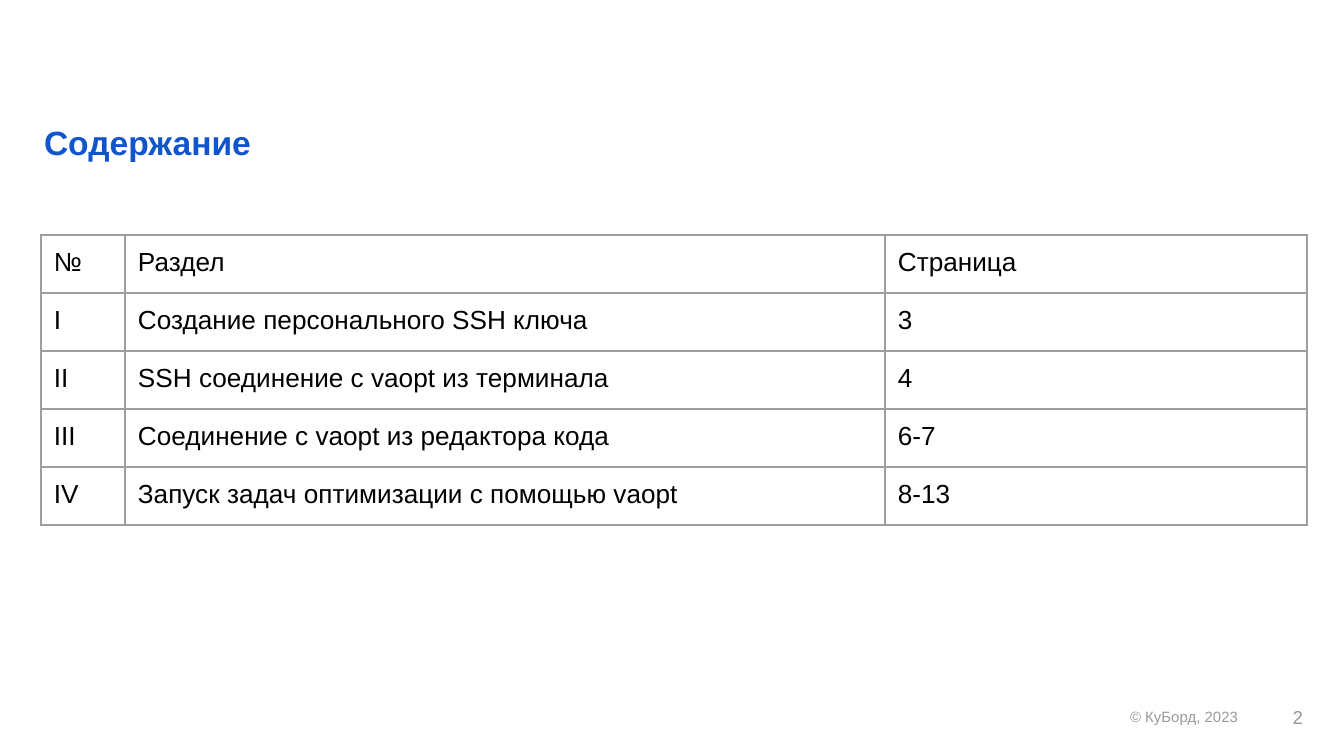
from lxml import etree
from pptx import Presentation
from pptx.dml.color import RGBColor
from pptx.enum.text import MSO_ANCHOR, MSO_AUTO_SIZE, PP_ALIGN
from pptx.oxml.ns import qn
from pptx.util import Pt

TOP, MIDDLE = MSO_ANCHOR.TOP, MSO_ANCHOR.MIDDLE
LEFT, RIGHT = PP_ALIGN.LEFT, PP_ALIGN.RIGHT
NO_FIT = MSO_AUTO_SIZE.NONE

COLORS = {"title": "1155CC", "text": "000000", "muted": "999999", "border": "9E9E9E"}
FONT = "Arial"
PX = 914400 / 134.4
INSET = 13
TITLE_ONLY = 5

ROW_H = 58
COLUMNS = [84, 760, 422]
CONTENTS = [
    ("№", "Раздел", "Страница"),
    ("I", "Создание персонального SSH ключа", "3"),
    ("II", "SSH соединение с vaopt из терминала", "4"),
    ("III", "Соединение с vaopt из редактора кода", "6-7"),
    ("IV", "Запуск задач оптимизации с помощью vaopt", "8-13"),
]


def emu(px):
    return round(px * PX)


class Deck:
    def __init__(self, width, height):
        self.prs = Presentation()
        self.prs.slide_width, self.prs.slide_height = emu(width), emu(height)
        self.slide = self.prs.slides.add_slide(self.prs.slide_layouts[TITLE_ONLY])

    def set_text(self, tf, text, size, color, bold=False, align=LEFT):
        tf.text = text
        p = tf.paragraphs[0]
        p.alignment = align
        font = p.runs[0].font
        font.name, font.size, font.bold = FONT, Pt(size), bold
        font.color.rgb = RGBColor.from_string(COLORS[color])

    def fill_frame(self, sp, text, size, color, bold=False, align=LEFT, anchor=TOP):
        tf = sp.text_frame
        tf.word_wrap = True
        tf.auto_size = NO_FIT
        tf.vertical_anchor = anchor
        tf.margin_left = tf.margin_right = tf.margin_top = tf.margin_bottom = emu(INSET)
        self.set_text(tf, text, size, color, bold, align)

    def title(self, x, y, w, h, text, size):
        sp = self.slide.shapes.title
        sp.left, sp.top, sp.width, sp.height = map(emu, (x, y, w, h))
        self.fill_frame(sp, text, size, "title", bold=True)

    def text(self, x, y, w, h, text, size, color, align=LEFT, anchor=TOP):
        sp = self.slide.shapes.add_textbox(*map(emu, (x, y, w, h)))
        self.fill_frame(sp, text, size, color, align=align, anchor=anchor)

    def border(self, cell, color, width):
        tc_pr = cell._tc.get_or_add_tcPr()
        for side in ("lnL", "lnR", "lnT", "lnB"):
            ln = etree.SubElement(tc_pr, qn(f"a:{side}"), w=str(Pt(width)))
            fill = etree.SubElement(ln, qn("a:solidFill"))
            etree.SubElement(fill, qn("a:srgbClr"), val=COLORS[color])

    def table(self, x, y, columns, row_h, rows, size):
        box = map(emu, (x, y, sum(columns), row_h * len(rows)))
        table = self.slide.shapes.add_table(len(rows), len(columns), *box).table
        table.first_row = table.horz_banding = False
        for column, width in zip(table.columns, columns):
            column.width = emu(width)
        for row, values in zip(table.rows, rows):
            row.height = emu(row_h)
            for cell, value in zip(row.cells, values):
                cell.margin_left = cell.margin_right = emu(INSET)
                cell.margin_top = cell.margin_bottom = emu(INSET)
                self.border(cell, "border", 0.75)
                cell.fill.background()
                self.set_text(cell.text_frame, value, size, "text")


def main():
    deck = Deck(1344, 756)
    deck.title(31, 109, 1332, 86, "Содержание", 18)
    deck.text(1117, 695, 137, 46, "© КуБорд, 2023", 8, "muted")
    deck.text(1235, 688, 81, 58, "2", 10, "muted", RIGHT, MIDDLE)
    deck.table(41, 235, COLUMNS, ROW_H, CONTENTS, 14)
    deck.prs.save("out.pptx")


if __name__ == "__main__":
    main()
